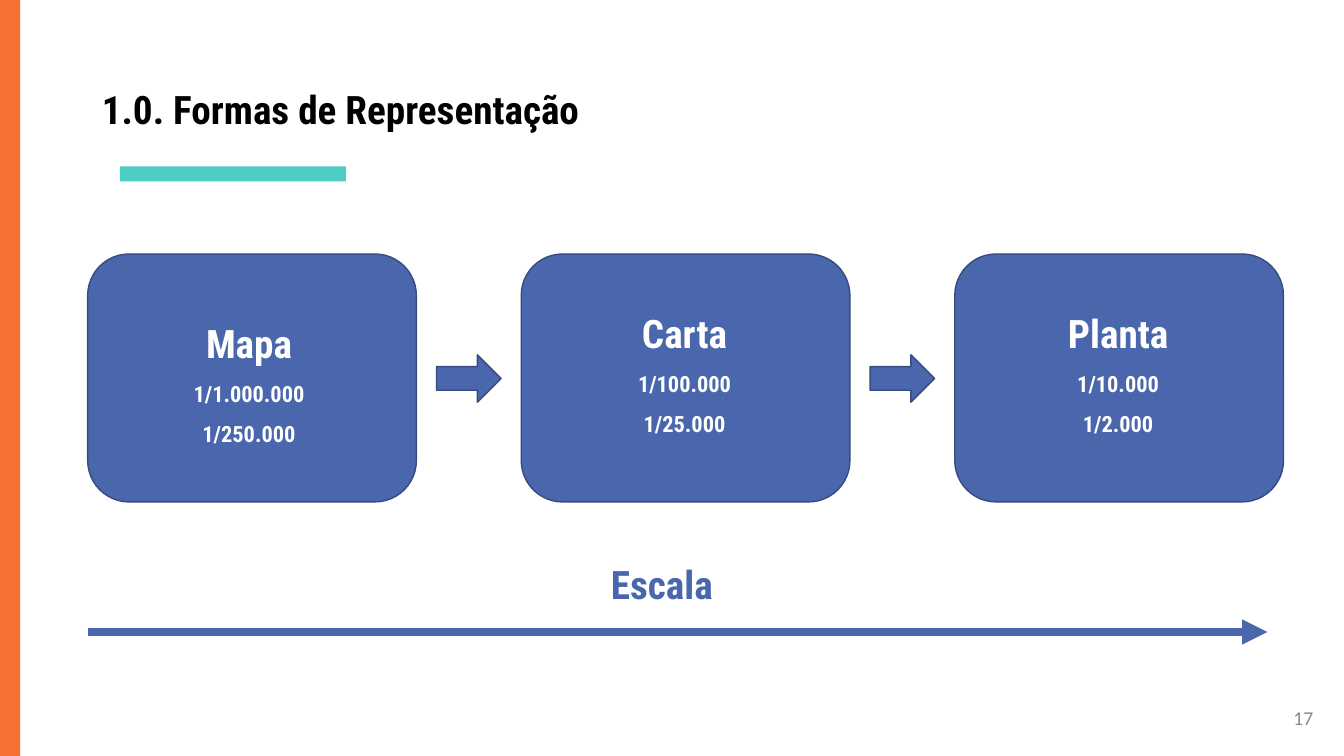
import pptx
import pptx.util
import pptx.dml.color
import pptx.enum.shapes
import pptx.enum.text
import pptx.oxml
import pptx.oxml.ns

Inches = pptx.util.Inches
Shape = pptx.enum.shapes.MSO_SHAPE
Align = pptx.enum.text.PP_ALIGN
Anchor = pptx.enum.text.MSO_ANCHOR

COLORS = {"orange": "F67031", "teal": "4ECDC4", "blue": "4A66AC", "navy": "364B7F",
          "black": "000000", "white": "FFFFFF", "gray": "898989"}

deck = pptx.Presentation()
deck.slide_width, deck.slide_height = Inches(13.33), Inches(7.5)
page = deck.slides.add_slide(deck.slide_layouts[6])


def rgb(name):
    return pptx.dml.color.RGBColor.from_string(COLORS[name])


def add_text(lines, left, top, width, height, sizes=(28,), color="white", font="Roboto Condensed",
             bold=True, align=Align.CENTER, anchor=Anchor.TOP, spacing=None, insets=(0.1, 0.05)):
    box = page.shapes.add_textbox(Inches(left), Inches(top), Inches(width), Inches(height))
    frame = box.text_frame
    frame.word_wrap = True
    frame.vertical_anchor = anchor
    frame.margin_left = frame.margin_right = Inches(insets[0])
    frame.margin_top = frame.margin_bottom = Inches(insets[1])
    for index, (line, size) in enumerate(zip(lines, sizes)):
        para = frame.add_paragraph() if index else frame.paragraphs[0]
        para.alignment = align
        para.line_spacing = spacing
        span = para.add_run()
        span.text = line
        span.font.name, span.font.size, span.font.bold = font, pptx.util.Pt(size), bold
        span.font.color.rgb = rgb(color)


# Side band, title accent, cards and the arrows between them
pitch = 4.3
shapes = [(Shape.RECTANGLE, 0, 0, 0.2, 7.5, "orange", None),
          (Shape.RECTANGLE, 1.19, 1.65, 2.24, 0.15, "teal", None)]
shapes += [(Shape.ROUNDED_RECTANGLE, 0.87 + pitch * i, 2.52, 3.26, 2.46, "blue", "navy")
           for i in range(3)]
shapes += [(Shape.RIGHT_ARROW, 4.33 + pitch * i, 3.52, 0.64, 0.47, "blue", "navy")
           for i in range(2)]
for kind, left, top, width, height, fill, outline in shapes:
    shape = page.shapes.add_shape(kind, Inches(left), Inches(top), Inches(width), Inches(height))
    shape.shadow.inherit = False
    shape.fill.solid()
    shape.fill.fore_color.rgb = rgb(fill)
    if outline:
        shape.line.color.rgb = rgb(outline)
        shape.line.width = pptx.util.Pt(1)
    else:
        shape.line.fill.background()

# Title and page number
add_text(["1.0. Formas de Representação"], 1.01, 0.69, 11.32, 0.72, color="black",
         align=Align.LEFT, anchor=Anchor.BOTTOM, insets=(0, 0.1))
add_text(["17"], 12.73, 6.95, 0.6, 0.4, sizes=(14,), color="gray", font="Calibri",
         bold=False, align=Align.LEFT)

# Card texts: name and scale range
cards = [(["Mapa", "1/1.000.000", "1/250.000"], 1.19, 2.89),
         (["Carta", "1/100.000", "1/25.000"], 5.51, 2.79),
         (["Planta", "1/10.000", "1/2.000"], 9.81, 2.79)]
for lines, left, top in cards:
    add_text(lines, left, top, 2.56, 1.6, sizes=(28, 16, 16), spacing=1.5)

# Scale axis
add_text(["Escala"], 5.48, 5.51, 2.17, 0.56, color="blue")
axis = page.shapes.add_connector(pptx.enum.shapes.MSO_CONNECTOR.STRAIGHT,
                                 Inches(0.87), Inches(6.27), Inches(12.57), Inches(6.27))
axis.line.color.rgb = rgb("blue")
axis.line.width = pptx.util.Pt(6)
namespace = pptx.oxml.ns.nsdecls("a")
axis.line._get_or_add_ln().append(pptx.oxml.parse_xml(f'<a:tailEnd {namespace} type="triangle"/>'))
axis._element.spPr.append(pptx.oxml.parse_xml(f"<a:effectLst {namespace}/>"))

deck.save("out.pptx")
